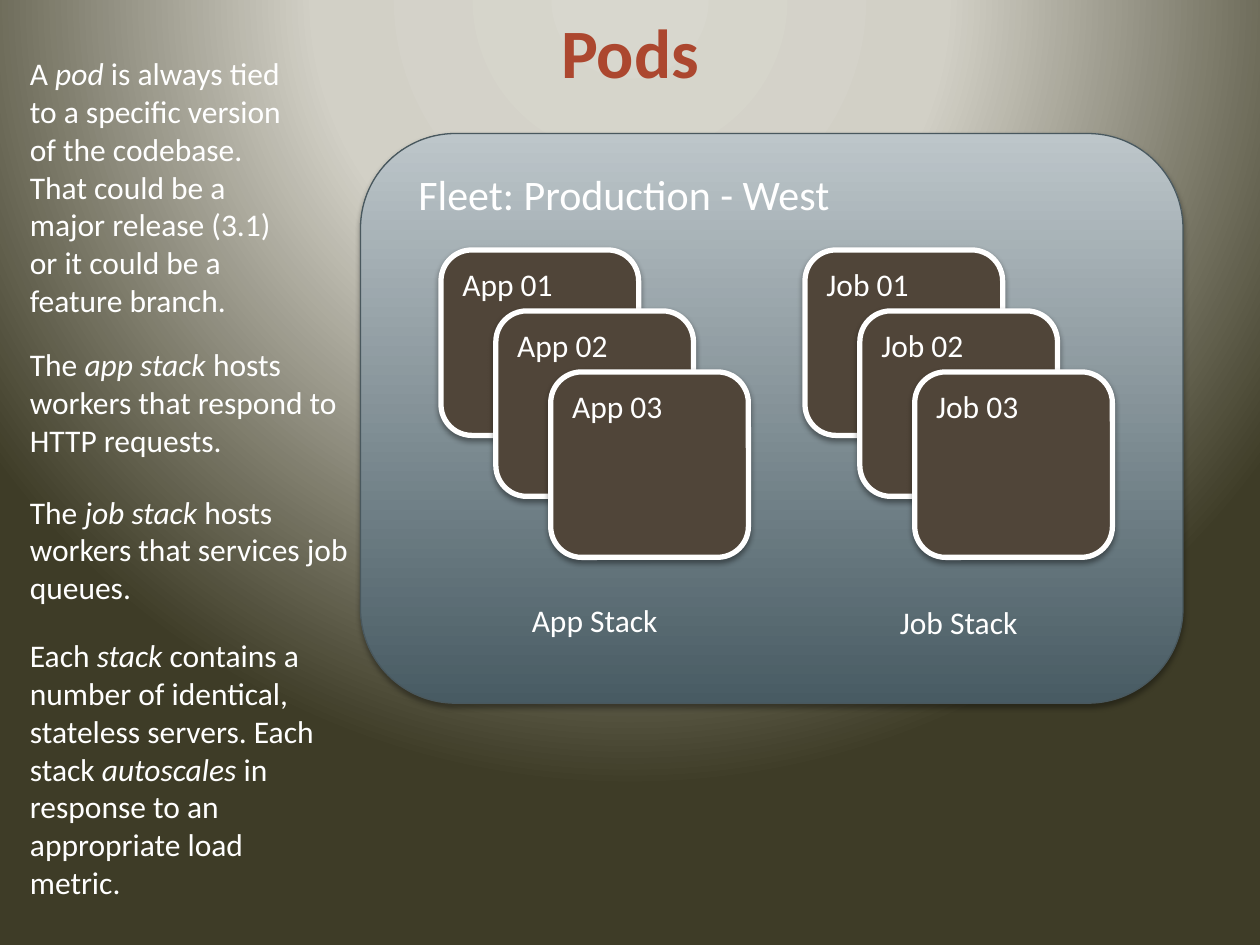
from collections import namedtuple
from dataclasses import dataclass

from lxml import etree
from pptx import Presentation
from pptx.dml import color
from pptx.enum import shapes, text
from pptx.oxml import ns, parse_xml
from pptx.util import Pt

Box = namedtuple("Box", "x y w h")


@dataclass(frozen=True)
class Theme:
    """Colours, type sizes and font of the slide."""
    font: str = "Calibri"
    white: str = "FFFFFF"
    card: str = "504539"
    edge: str = "49585E"
    back: tuple = ((0, "D8D7CE"), (40, "D2D0C6"), (100, "3E3C27"))
    panel: tuple = ((0, "485B63"), (100, "BDC6CA"))
    head: tuple = ((0, "DC9081"), (75, "AC472F"), (100, "9D2900"))
    title: float = 39.6
    label: float = 24
    body: float = 18


T = Theme()
GLOW = ('<a:path path="circle"><a:fillToRect l="50000" t="-80000" '
        'r="50000" b="180000"/></a:path>')


def rgb(code):
    """Return a colour from its hex code."""
    return color.RGBColor.from_string(code)


def blend(root, stops, way):
    """Swap the first solid fill under root for a gradient."""
    marks = "".join(f'<a:gs pos="{pos * 1000}"><a:srgbClr val="{code}"/></a:gs>'
                    for pos, code in stops)
    new = parse_xml(f'<a:gradFill {ns.nsdecls("a")} rotWithShape="1">'
                    f'<a:gsLst>{marks}</a:gsLst>{way}</a:gradFill>')
    old = next(root.iter(ns.qn("a:solidFill")))
    old.getparent().replace(old, new)


def slant(deg):
    """Return a linear gradient direction."""
    return f'<a:lin ang="{deg * 60000}" scaled="0"/>'


def shade(shape, alpha, dist):
    """Give a shape a soft shadow straight below it."""
    shape.shadow.inherit = False
    glow = shape._element.spPr.find(ns.qn("a:effectLst"))
    drop = etree.SubElement(glow, ns.qn("a:outerShdw"), blurRad=str(Pt(3.1)),
                            dist=str(Pt(dist)), dir="5400000", rotWithShape="0")
    tint = etree.SubElement(drop, ns.qn("a:srgbClr"), val="000000")
    etree.SubElement(tint, ns.qn("a:alpha"), val=str(alpha * 1000))


def write(frame, words, size=T.body, align=text.PP_ALIGN.LEFT,
          anchor=text.MSO_ANCHOR.TOP):
    """Write words run by run, with italics between asterisks."""
    frame.word_wrap = True
    frame.vertical_anchor = anchor
    para = frame.paragraphs[0]
    para.alignment = align
    for num, part in enumerate(words.split("*")):
        run = para.add_run()
        run.text = part
        run.font.name = T.font
        run.font.size = Pt(size)
        run.font.italic = num % 2 == 1
        run.font.color.rgb = rgb(T.white)
    return para


def note(slide, box, words, **style):
    """Add a text box."""
    area = slide.shapes.add_textbox(*map(Pt, box))
    return write(area.text_frame, words, **style)


def plate(slide, box, fill, line, width):
    """Add a rounded rectangle."""
    shape = slide.shapes.add_shape(shapes.MSO_SHAPE.ROUNDED_RECTANGLE, *map(Pt, box))
    shape.fill.solid()
    shape.fill.fore_color.rgb = rgb(fill)
    shape.line.color.rgb = rgb(line)
    shape.line.width = Pt(width)
    return shape


def header(slide, box):
    """Place the slide title."""
    para = note(slide, box, "Pods", size=T.title, align=text.PP_ALIGN.CENTER,
                anchor=text.MSO_ANCHOR.MIDDLE)
    para.runs[0].font.bold = True
    blend(para._p, T.head, slant(90))


def aside(slide, box):
    """Place the column of notes."""
    notes = (
        (0, 166, 160, "A *pod* is always tied to a specific version of the codebase. "
         "That could be a major release (3.1) or it could be a feature branch."),
        (166.3, 196, 73, "The *app stack* hosts workers that respond to HTTP requests."),
        (250.5, 196, 73, "The *job stack *hosts workers that services job queues."),
        (332.6, 188.6, 160, "Each *stack* contains a number of identical, stateless "
         "servers. Each stack *autoscales* in response to an appropriate load metric."),
    )
    for top, wide, high, words in notes:
        note(slide, (box.x, box.y + top, wide, high), words)


def stack(slide, box, name, drop):
    """Place three overlapping servers and the caption below them."""
    wide, high = 113, 106
    for num in range(3):
        spot = (box.x + num * (box.w - wide) / 2,
                box.y + num * (box.h - high) / 2, wide, high)
        card = plate(slide, spot, T.card, T.white, 3)
        shade(card, 38, 1.6)
        write(card.text_frame, f"{name} 0{num + 1}")
    note(slide, (box.x, box.y + drop, box.w, 29), f"{name} Stack",
         align=text.PP_ALIGN.CENTER)


def fleet(slide, box):
    """Place the fleet panel with its two stacks."""
    panel = plate(slide, box, T.card, T.edge, 0.75)
    blend(panel._element.spPr, T.panel, slant(270))
    shade(panel, 35, 1.8)
    note(slide, (box.x + 26, box.y + 16.5, 423, 36), "Fleet: Production - West",
         size=T.label)
    for name, left, drop in (("App", 46, 197), ("Job", 254, 198.5)):
        stack(slide, Box(box.x + left, box.y + 66.5, 175.7, 175.7), name, drop)


def main():
    """Build and save the slide."""
    deck = Presentation()
    deck.slide_width, deck.slide_height = Pt(720), Pt(540)
    slide = deck.slides.add_slide(deck.slide_layouts[6])
    slide.background.fill.solid()
    slide.background.fill.fore_color.rgb = rgb(T.white)
    blend(slide._element, T.back, GLOW)
    header(slide, Box(36, 1.4, 648, 55))
    aside(slide, Box(10, 27.4, 196, 493))
    fleet(slide, Box(206, 76.3, 470, 325.5))
    deck.save("out.pptx")


if __name__ == "__main__":
    main()
